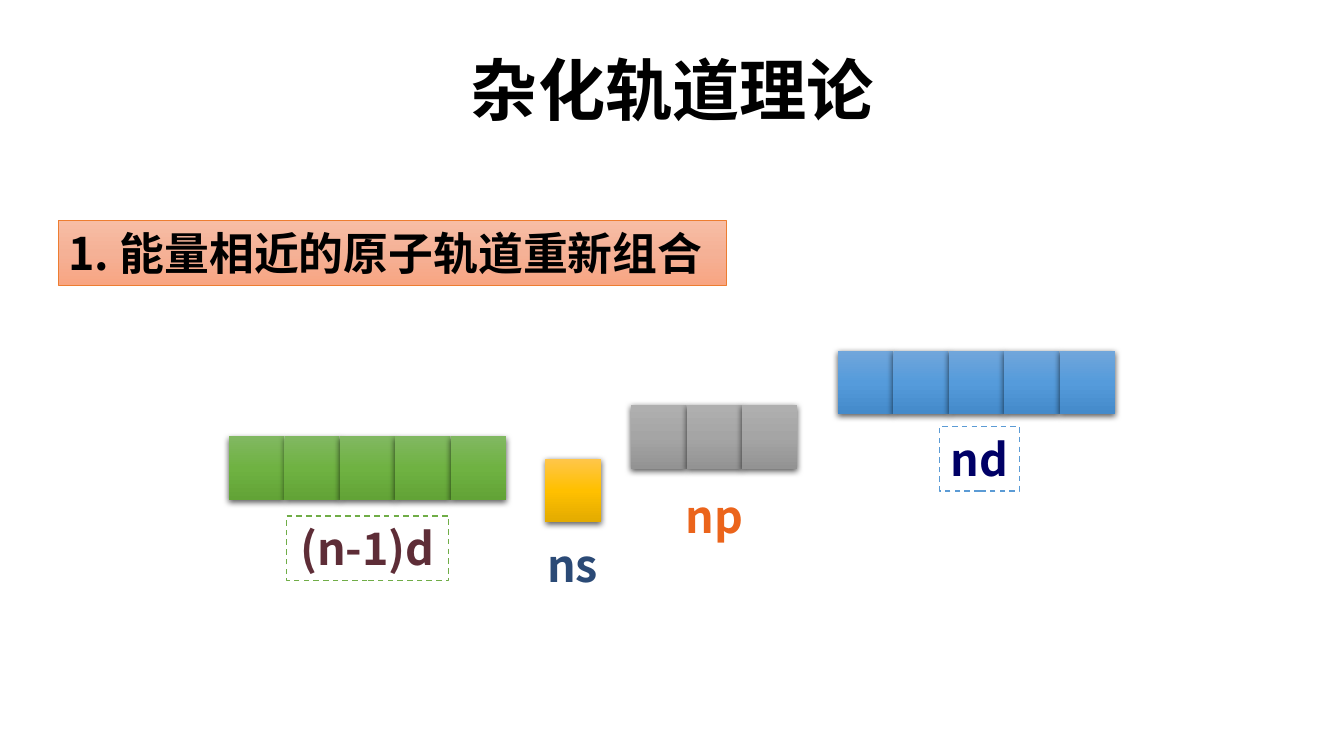
from copy import deepcopy
from lxml import etree
from pptx import Presentation, util as u
from pptx.dml import color
from pptx.enum import dml, shapes, text
from pptx.oxml import ns

TITLE = "杂化轨道理论"
HEADING = "1. 能量相近的原子轨道重新组合"
ORBITALS = [
    dict(name="ns", cells=1, at=(5.41, 4.55), label=(5.32, 5.29, 0.72), ink="2B4A76",
         shades=("FFC64B", "FFC000", "E3AB00"), border=None),
    dict(name="np", cells=3, at=(6.26, 4.02), label=(6.69, 4.8, 0.79), ink="EB641B",
         shades=("AFAFAF", "A5A5A5", "939393"), border=None),
    dict(name="(n-1)d", cells=5, at=(2.27, 4.33), label=(2.84, 5.12, 1.61), ink="5E2D37",
         shades=("81B861", "6FB242", "62A336"), border="70AD47"),
    dict(name="nd", cells=5, at=(8.31, 3.48), label=(9.32, 4.23, 0.79), ink="000066",
         shades=("71A6DB", "559BDB", "448ACA"), border="5B9BD5"),
]
THEME = dict(font="Noto Sans CJK SC", title=48, body=32, ink="000000", paper="FFFFFF",
             heading=("F7BDA5", "F5B196", "F8A582"), heading_line="ED7D31", shadow="000000")
CELL_WIDTH, CELL_HEIGHT, LABEL_HEIGHT = 0.55, 0.63, 0.64


def rgb(value):
    return color.RGBColor.from_string(value)


def add_rectangle(parent, *box):
    shape = parent.add_shape(shapes.MSO_SHAPE.RECTANGLE, *map(u.Inches, box))
    shape.shadow.inherit = False
    shape.line.fill.background()
    return shape


def fill_gradient(shape, shades):
    shape.fill.gradient()
    shape.fill.gradient_angle = 270
    stop_list = shape._element.spPr.find(".//" + ns.qn("a:gsLst"))
    stop_list.append(deepcopy(stop_list[-1]))
    for stop, shade, position in zip(shape.fill.gradient_stops, shades, (0, 0.5, 1)):
        stop.color.rgb = rgb(shade)
        stop.position = position


def outline(shape, shade, width):
    shape.line.color.rgb = rgb(shade)
    shape.line.width = u.Pt(width)


def drop_shadow(shape):
    effects = shape._element.spPr.find(ns.qn("a:effectLst"))
    shadow = etree.SubElement(effects, ns.qn("a:outerShdw"), blurRad=str(u.Pt(4.5)),
                              dist=str(u.Pt(1.5)), dir="5400000", algn="ctr", rotWithShape="0")
    shade = etree.SubElement(shadow, ns.qn("a:srgbClr"), val=THEME["shadow"])
    etree.SubElement(shade, ns.qn("a:alpha"), val="63000")


def write(shape, words, size, ink, align, wrap=True, anchor=text.MSO_ANCHOR.TOP):
    frame = shape.text_frame
    frame.word_wrap = wrap
    frame.vertical_anchor = anchor
    paragraph = frame.paragraphs[0]
    paragraph.alignment = align
    run = paragraph.add_run()
    run.text = words
    run.font.size = u.Pt(size)
    run.font.bold = True
    run.font.color.rgb = rgb(ink)
    run.font.name = THEME["font"]
    etree.SubElement(run._r.get_or_add_rPr(), ns.qn("a:ea"), typeface=THEME["font"])
    return frame


def add_orbital(slide, orbital):
    group = slide.shapes.add_group_shape().shapes
    left, top = orbital["at"]
    for index in range(orbital["cells"]):
        cell = add_rectangle(group, left + index * CELL_WIDTH, top, CELL_WIDTH, CELL_HEIGHT)
        fill_gradient(cell, orbital["shades"])
        drop_shadow(cell)
    box = (*orbital["label"], LABEL_HEIGHT)
    if orbital["border"]:
        label = add_rectangle(group, *box)
        label.fill.solid()
        label.fill.fore_color.rgb = rgb(THEME["paper"])
        outline(label, orbital["border"], 1)
        label.line.dash_style = dml.MSO_LINE.DASH
    else:
        label = group.add_textbox(*map(u.Inches, box))
    frame = write(label, orbital["name"], THEME["body"], orbital["ink"],
                  text.PP_ALIGN.CENTER, wrap=False)
    frame.auto_size = text.MSO_AUTO_SIZE.SHAPE_TO_FIT_TEXT


def main():
    presentation = Presentation()
    presentation.slide_width, presentation.slide_height = u.Inches(13.33), u.Inches(7.5)
    slide = presentation.slides.add_slide(presentation.slide_layouts[6])
    title = slide.shapes.add_textbox(*map(u.Inches, (2.17, 0.3, 9, 1.25)))
    frame = write(title, TITLE, THEME["title"], THEME["ink"],
                  text.PP_ALIGN.CENTER, anchor=text.MSO_ANCHOR.MIDDLE)
    frame.paragraphs[0].line_spacing = 0.9
    for orbital in ORBITALS:
        add_orbital(slide, orbital)
    heading = add_rectangle(slide.shapes, 0.58, 2.19, 6.62, LABEL_HEIGHT)
    fill_gradient(heading, THEME["heading"])
    outline(heading, THEME["heading_line"], 0.5)
    frame = write(heading, HEADING, THEME["body"], THEME["ink"], text.PP_ALIGN.LEFT)
    frame.auto_size = text.MSO_AUTO_SIZE.SHAPE_TO_FIT_TEXT
    presentation.save("out.pptx")


if __name__ == "__main__":
    main()
